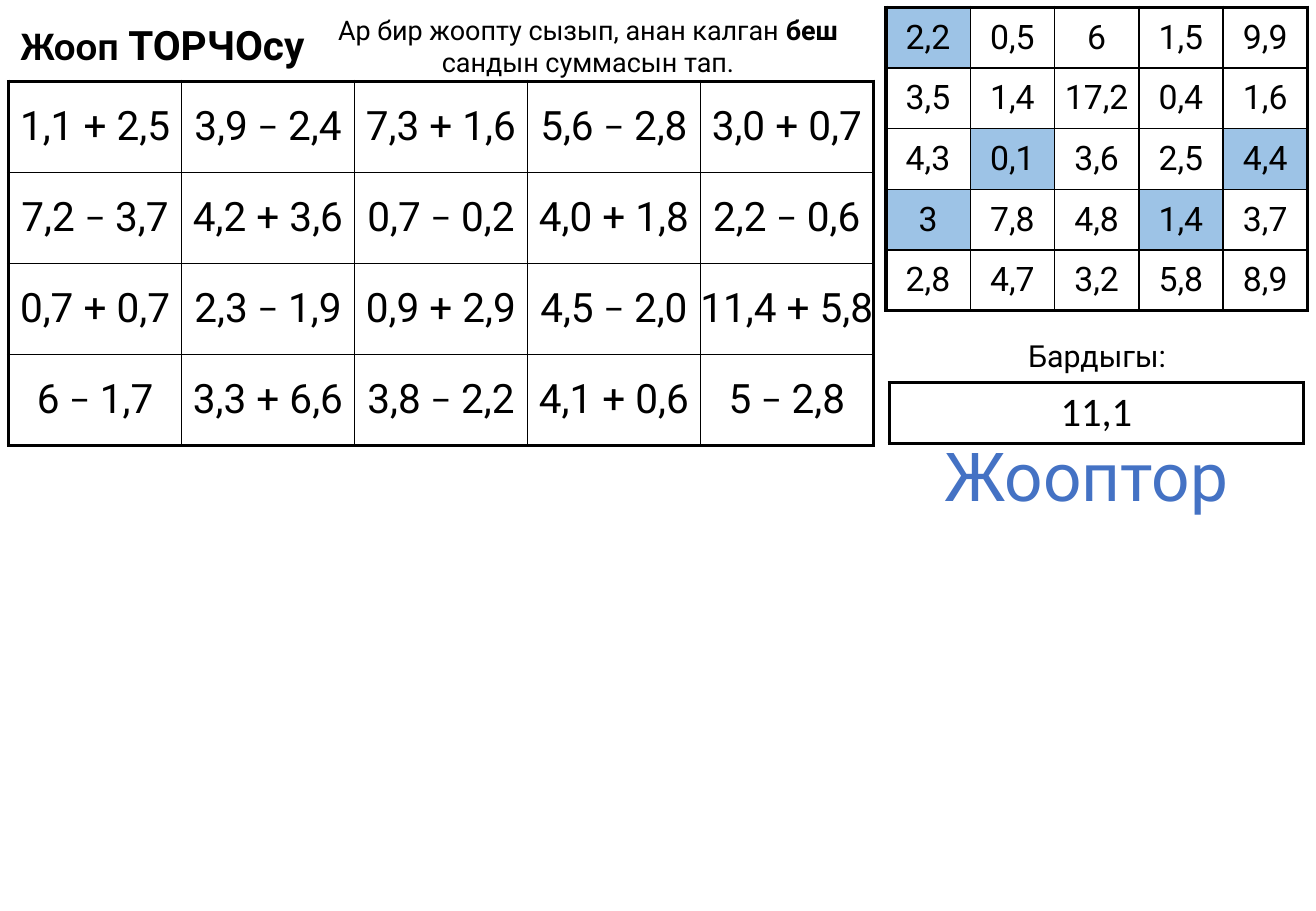
from lxml import etree
from pptx import Presentation
from pptx.dml.color import RGBColor
from pptx.enum.text import MSO_ANCHOR, MSO_AUTO_SIZE, PP_ALIGN
from pptx.oxml.ns import qn
from pptx.util import Cm, Pt

CENTER, LEFT = PP_ALIGN.CENTER, PP_ALIGN.LEFT
MIDDLE, TOP = MSO_ANCHOR.MIDDLE, MSO_ANCHOR.TOP
NO_FIT = MSO_AUTO_SIZE.NONE
TITLE_ONLY = 5

MAIN_FONT, SECOND_FONT = "Roboto", "Calibri"
BLACK, WHITE, BLUE, MARKED = "000000", "FFFFFF", "4472C4", "9DC3E6"
THICK, THIN = 2.25, 1

SUMS = [
    ["1,1 + 2,5", "3,9 − 2,4", "7,3 + 1,6", "5,6 − 2,8", "3,0 + 0,7"],
    ["7,2 − 3,7", "4,2 + 3,6", "0,7 − 0,2", "4,0 + 1,8", "2,2 − 0,6"],
    ["0,7 + 0,7", "2,3 − 1,9", "0,9 + 2,9", "4,5 − 2,0", "11,4 + 5,8"],
    ["6 − 1,7", "3,3 + 6,6", "3,8 − 2,2", "4,1 + 0,6", "5 − 2,8"],
]
ANSWERS = [
    ["2,2", "0,5", "6", "1,5", "9,9"],
    ["3,5", "1,4", "17,2", "0,4", "1,6"],
    ["4,3", "0,1", "3,6", "2,5", "4,4"],
    ["3", "7,8", "4,8", "1,4", "3,7"],
    ["2,8", "4,7", "3,2", "5,8", "8,9"],
]
LEFT_OVER = {(0, 0), (2, 1), (2, 4), (3, 0), (3, 3)}


def color(value):
    return RGBColor.from_string(value)


def style(font, size, name=MAIN_FONT, ink=BLACK):
    font.size, font.name = Pt(size), name
    font.color.rgb = color(ink)


def add_borders(cell, widths):
    """Draw the left, right, top and bottom borders, widths in points."""
    properties = cell._tc.get_or_add_tcPr()
    for side, width in zip("LRTB", widths):
        line = etree.SubElement(properties, qn(f"a:ln{side}"), w=str(Pt(width)))
        fill = etree.SubElement(line, qn("a:solidFill"))
        etree.SubElement(fill, qn("a:srgbClr"), val=BLACK)


def write_cell(cell, text, size, name):
    para = cell.text_frame.paragraphs[0]
    para.alignment = CENTER
    style(para.font, size, name)
    # The minus sign is set in the second font
    before, minus, after = text.partition("−")
    for part in filter(None, (before, minus, after)):
        span = para.add_run()
        span.text = part
        if part == "−":
            span.font.name = SECOND_FONT


def add_grid(page, box, rows, size, name=MAIN_FONT, marked=(), margin=0):
    """Table of equal cells with a thick frame."""
    left, top, width, height = box
    row_count, column_count = len(rows), len(rows[0])
    table = page.shapes.add_table(row_count, column_count, Cm(left), Cm(top),
                                  Cm(width), Cm(height)).table
    table.first_row = table.horz_banding = False
    for r, row in enumerate(rows):
        for c, text in enumerate(row):
            cell = table.cell(r, c)
            cell.margin_left = cell.margin_right = Cm(margin)
            cell.margin_top = cell.margin_bottom = Cm(margin / 2)
            cell.vertical_anchor = MIDDLE
            on_edge = (c == 0, c == column_count - 1, r == 0, r == row_count - 1)
            add_borders(cell, [THICK if edge else THIN for edge in on_edge])
            cell.fill.solid()
            cell.fill.fore_color.rgb = color(MARKED if (r, c) in marked else WHITE)
            write_cell(cell, text, size, name)


def add_label(page, box, parts, size, ink=BLACK):
    """Centred text box; parts are (text, bold) pairs."""
    frame = page.shapes.add_textbox(*map(Cm, box)).text_frame
    frame.word_wrap = True
    para = frame.paragraphs[0]
    para.alignment = CENTER
    style(para.font, size, ink=ink)
    for text, bold in parts:
        span = para.add_run()
        span.text = text
        if bold:
            span.font.bold = True


def set_title(page, box):
    title = page.shapes.title
    title.left, title.top, title.width, title.height = map(Cm, box)
    frame = title.text_frame
    frame.auto_size, frame.vertical_anchor = NO_FIT, TOP
    para = frame.paragraphs[0]
    para.alignment = LEFT
    style(para.font, 24)
    para.font.bold = True
    for text, name in (("Жооп ", SECOND_FONT), ("ТОРЧОсу", MAIN_FONT)):
        span = para.add_run()
        span.text, span.font.name = text, name


def add_exercise(page, box):
    """Heading, instruction and the grid of sums."""
    left, top, width, height = box
    set_title(page, (left, top + 0.15, 14.78, 1.27))
    add_label(page, (left + 5.69, top, 12.85, 1.63),
              [("Ар бир жоопту сызып, анан калган ", False), ("беш", True),
               (" сандын суммасын тап.", False)], 16)
    add_grid(page, (left, top + 1.55, width, height - 1.55), SUMS, 24)


def add_answers(page, box):
    """Grid of answers, their total and the caption below."""
    left, top, width, height = box
    add_grid(page, (left, top, width, 6.35), ANSWERS, 20, marked=LEFT_OVER)
    add_label(page, (left + 0.2, top + 6.78, 8.43, 1.02), [("Бардыгы:", False)], 18)
    add_grid(page, (left + 0.07, top + 7.85, 8.66, 1.27), [["11,1"]], 24,
             SECOND_FONT, margin=0.25)
    add_label(page, (left - 2.7, top + height - 1.96, 13.77, 1.96),
              [("Жооптор", False)], 40, BLUE)


def main():
    deck = Presentation()
    deck.slide_width, deck.slide_height = Cm(27.51), Cm(19.05)
    page = deck.slides.add_slide(deck.slide_layouts[TITLE_ONLY])
    add_exercise(page, (0.18, 0.15, 18.08, 9.17))
    add_answers(page, (18.52, 0.15, 8.81, 10.77))
    deck.save("out.pptx")


if __name__ == "__main__":
    main()
